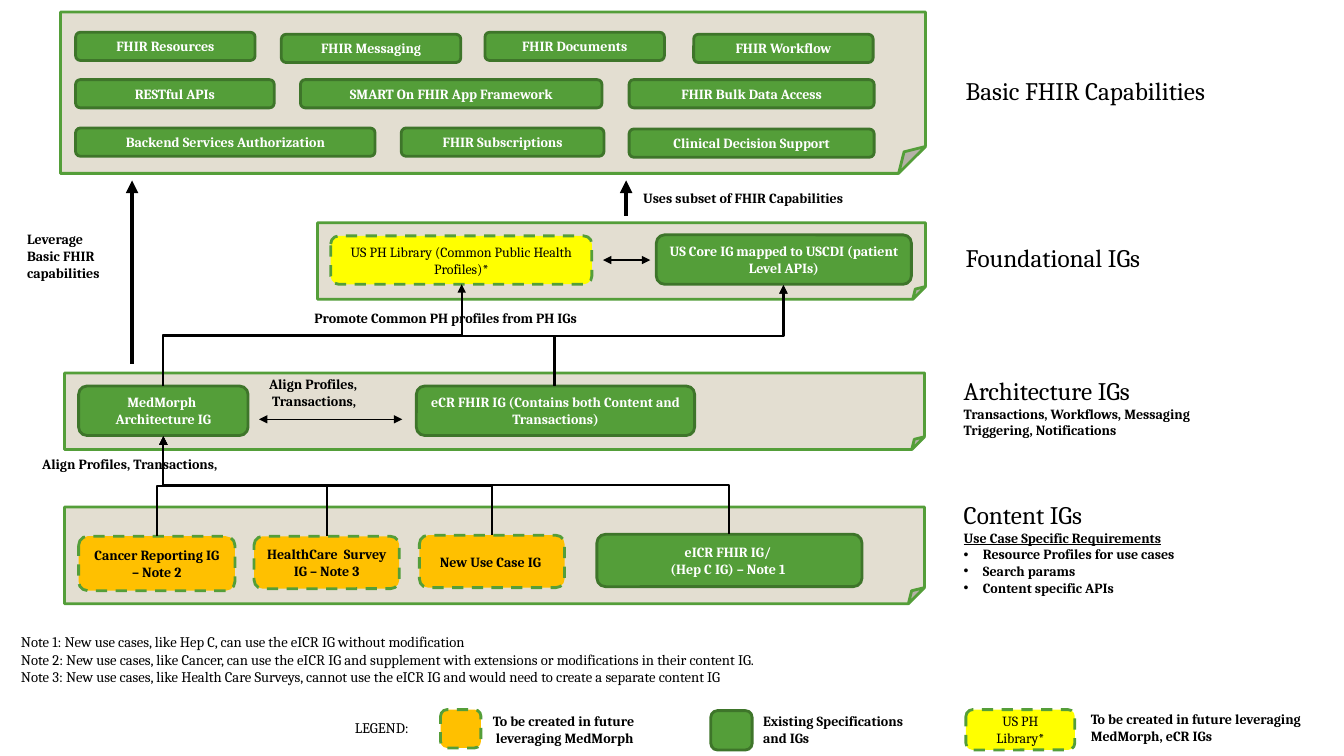
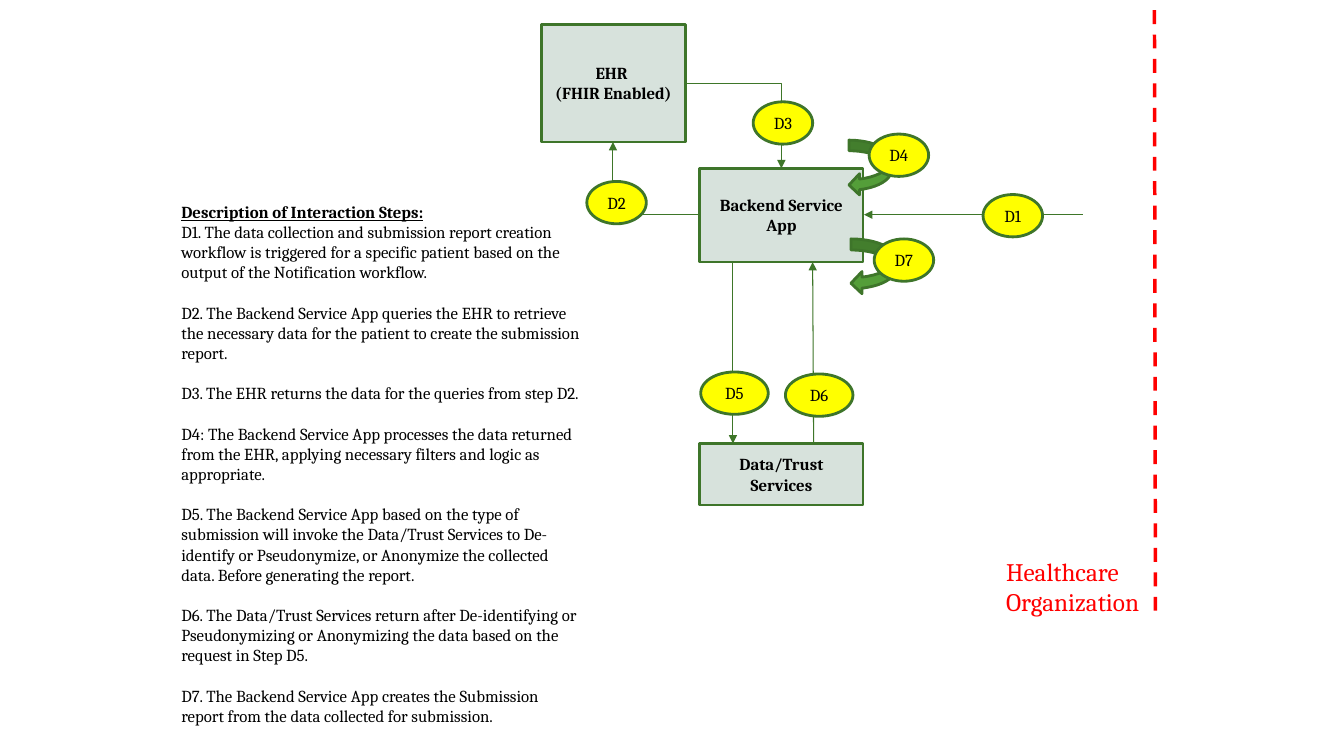
import pptx
import pptx.util
import pptx.dml.color
import pptx.enum.dml
import pptx.enum.shapes
import pptx.enum.text
import pptx.oxml
import pptx.oxml.ns
import lxml.etree

Inches = pptx.util.Inches
Pt = pptx.util.Pt
RGBColor = pptx.dml.color.RGBColor
SHAPE = pptx.enum.shapes.MSO_SHAPE
CONNECTOR = pptx.enum.shapes.MSO_CONNECTOR
DASH = pptx.enum.dml.MSO_LINE.DASH
ALIGN = pptx.enum.text.PP_ALIGN
ANCHOR = pptx.enum.text.MSO_ANCHOR
qn = pptx.oxml.ns.qn

FONT = "Cambria"
BLACK = RGBColor(0, 0, 0)
WHITE = RGBColor(0xFF, 0xFF, 0xFF)
RED = RGBColor(0xFF, 0, 0)
GREEN = RGBColor(0x54, 0x9E, 0x39)
DARK_GREEN = RGBColor(0x3E, 0x75, 0x2A)
FLOW_GREEN = RGBColor(0x3E, 0x76, 0x29)
BEIGE = RGBColor(0xE3, 0xDE, 0xD1)
PALE_GREEN = RGBColor(0xD7, 0xE2, 0xDC)
YELLOW = RGBColor(0xFF, 0xFF, 0)
ORANGE = RGBColor(0xFF, 0xC0, 0)


def place(slide, paragraphs, box, preset=None, fill=None, outline=DARK_GREEN, dash=None,
          size=10, color=BLACK, bold=True):
    bounds = [Inches(value) for value in box]
    if preset is None:
        shape = slide.shapes.add_textbox(*bounds)
    else:
        shape = slide.shapes.add_shape(preset, *bounds)
        shape.shadow.inherit = False
        shape.fill.solid()
        shape.fill.fore_color.rgb = fill
        shape.line.color.rgb = outline
        shape.line.width = Pt(2)
        shape.line.dash_style = dash
    frame = shape.text_frame
    frame.word_wrap = True
    frame.vertical_anchor = ANCHOR.MIDDLE if preset else ANCHOR.TOP
    for index, item in enumerate(paragraphs):
        text, changes = (item, {}) if isinstance(item, str) else item
        style = {"size": size, "bold": bold, "underline": False, "bullet": False, "before": 0, **changes}
        paragraph = frame.paragraphs[0] if index == 0 else frame.add_paragraph()
        paragraph.alignment = ALIGN.CENTER if preset else ALIGN.LEFT
        paragraph.space_before = Pt(style["before"])
        run = paragraph.add_run()
        run.text = text
        run.font.name = FONT
        run.font.size = Pt(style["size"])
        run.font.bold = style["bold"]
        run.font.underline = style["underline"]
        run.font.color.rgb = color
        if style["bullet"]:
            properties = paragraph._p.get_or_add_pPr()
            properties.set("marL", str(Inches(0.19)))
            properties.set("indent", str(-Inches(0.19)))
            lxml.etree.SubElement(properties, qn("a:buFont")).set("typeface", "Arial")
            lxml.etree.SubElement(properties, qn("a:buChar")).set("char", "•")


def link(slide, start, end, color=BLACK, width=1.0, route="straight", ends=("tailEnd",), dash=None):
    rotation = 0
    if route == "upright":
        middle_x, middle_y = (start[0] + end[0]) / 2, (start[1] + end[1]) / 2
        half_rise, half_run = (start[1] - end[1]) / 2, abs(end[0] - start[0]) / 2
        side = 1 if end[0] > start[0] else -1
        rotation = 90 if side > 0 else 270
        start = (middle_x + side * half_rise, middle_y + half_run)
        end = (middle_x - side * half_rise, middle_y - half_run)
    kind = CONNECTOR.STRAIGHT if route == "straight" else CONNECTOR.ELBOW
    connector = slide.shapes.add_connector(kind, *[Inches(value) for value in (*start, *end)])
    connector.line.color.rgb = color
    connector.line.width = Pt(width)
    connector.line.dash_style = dash
    properties = connector._element.spPr
    if rotation:
        properties.find(qn("a:xfrm")).set("rot", str(rotation * 60000))
    if route == "corner":
        properties.find(qn("a:prstGeom")).set("prst", "bentConnector2")
    for tip in ends:
        lxml.etree.SubElement(properties.find(qn("a:ln")), qn("a:" + tip)).set("type", "triangle")
    lxml.etree.SubElement(properties, qn("a:effectLst"))


EXISTING = {"preset": SHAPE.ROUNDED_RECTANGLE, "fill": GREEN, "color": WHITE}
FUTURE = {"preset": SHAPE.ROUNDED_RECTANGLE, "fill": ORANGE, "outline": GREEN, "dash": DASH}
LIBRARY = {**FUTURE, "fill": YELLOW, "bold": False}
BOTH_ENDS = ("headEnd", "tailEnd")

deck = pptx.Presentation()
deck.slide_width = Inches(13.33)
deck.slide_height = Inches(7.5)
blank = deck.slide_layouts[6]

layers = deck.slides.add_slide(blank)

for band in [(0.6, 0.12, 8.58, 1.6), (3.15, 2.21, 6.03, 0.76), (0.64, 3.7, 8.53, 0.76), (0.64, 5.03, 8.53, 0.96)]:
    place(layers, [], band, preset=SHAPE.FOLDED_CORNER, fill=BEIGE, outline=GREEN)

capabilities = [
    ("FHIR Resources", 0.75, 0.32, 1.78),
    ("FHIR Messaging", 2.79, 0.34, 1.78),
    ("FHIR Documents", 4.81, 0.32, 1.78),
    ("FHIR Workflow", 6.88, 0.34, 1.78),
    ("RESTful APIs", 0.75, 0.79, 1.97),
    ("SMART On FHIR App Framework", 2.98, 0.79, 2.99),
    ("FHIR Bulk Data Access", 6.24, 0.79, 2.43),
    ("Backend Services Authorization", 0.75, 1.27, 2.97),
    ("FHIR Subscriptions", 3.98, 1.27, 2.01),
    ("Clinical Decision Support", 6.24, 1.28, 2.43),
]
for capability, left, top, width in capabilities:
    place(layers, [capability], (left, top, width, 0.28), **EXISTING)

guides = [
    (["US PH Library (Common Public Health Profiles)*"], (3.28, 2.34, 2.59, 0.48), LIBRARY),
    (["US Core IG mapped to USCDI (patient Level APIs)"], (6.51, 2.33, 2.53, 0.49), EXISTING),
    (["MedMorph ", "Architecture IG"], (0.78, 3.83, 1.68, 0.49), EXISTING),
    (["eCR FHIR IG (Contains both Content and Transactions)"], (4.13, 3.83, 2.76, 0.49), EXISTING),
    (["Cancer Reporting IG – Note 2"], (0.78, 5.32, 1.55, 0.54), FUTURE),
    (["HealthCare  Survey IG – Note 3"], (2.52, 5.32, 1.44, 0.52), FUTURE),
    (["New Use Case IG "], (4.16, 5.31, 1.44, 0.52), FUTURE),
    (["eICR FHIR IG/ ", "(Hep C IG) – Note 1 "], (5.92, 5.3, 2.63, 0.52), EXISTING),
    ([], (4.37, 7.04, 0.4, 0.38), FUTURE),
    ([], (7.05, 7.05, 0.41, 0.39), EXISTING),
    (["US PH Library*"], (9.58, 7.04, 1.08, 0.4), LIBRARY),
]
for guide, box, status in guides:
    place(layers, guide, box, **status)

link(layers, (5.98, 2.58), (6.45, 2.58), ends=BOTH_ENDS)
link(layers, (2.57, 4.16), (3.99, 4.16), ends=BOTH_ENDS)
link(layers, (6.21, 2.14), (6.21, 1.79), width=3)
link(layers, (1.31, 3.61), (1.31, 1.79), width=3)

us_library, us_core, architecture = (4.58, 2.82), (7.77, 2.83), (1.62, 4.33)
dependencies = [
    ((1.62, 3.83), us_library),
    ((1.62, 3.83), us_core),
    ((5.5, 3.83), us_core),
    ((1.56, 5.32), architecture),
    ((3.24, 5.32), architecture),
    ((4.88, 5.31), architecture),
    ((7.23, 5.3), architecture),
]
for source, target in dependencies:
    link(layers, source, target, width=1.5, route="upright")

detail = {"size": 10, "bold": True}
bullet = {**detail, "bullet": True}
relations = [
    (["Uses subset of FHIR Capabilities"], (6.28, 1.83, 2.89, 0.3)),
    (["Align Profiles,", " Transactions,"], (2.57, 3.68, 1.52, 0.48)),
    (["Promote Common PH profiles from PH IGs"], (3.02, 3.02, 3.94, 0.3)),
    (["Leverage ", "Basic FHIR ", "capabilities"], (0.17, 2.24, 1.19, 0.67)),
    ([" Align Profiles, Transactions,"], (0.29, 4.47, 2.89, 0.3)),
    (["To be created in future", " leveraging MedMorph"], (4.79, 7.02, 2.11, 0.48)),
    (["Existing Specifications ", "and IGs"], (7.47, 7.02, 2.13, 0.48)),
    (["To be created in future leveraging ", "MedMorph, eCR IGs"], (10.72, 7, 2.45, 0.44)),
]
for relation, box in relations:
    place(layers, relation, box)

layer_names = [
    (["Basic FHIR Capabilities"], (9.48, 0.7, 3.37, 0.44)),
    (["Foundational IGs"], (9.48, 2.35, 2.56, 0.44)),
    (["Architecture IGs", ("Transactions, Workflows, Messaging", detail), ("Triggering, Notifications", detail)],
     (9.46, 3.67, 3.23, 0.82)),
    (["Content IGs", ("Use Case Specific Requirements", {**detail, "underline": True}),
      ("Resource Profiles for use cases", bullet), ("Search params", bullet), ("Content specific APIs", bullet)],
     (9.46, 4.9, 2.98, 1.19)),
]
for layer_name, box in layer_names:
    place(layers, layer_name, box, size=18, bold=False)

notes = [
    "Note 1: New use cases, like Hep C, can use the eICR IG without modification ",
    "Note 2: New use cases, like Cancer, can use the eICR IG and supplement with extensions or modifications "
    "in their content IG.",
    "Note 3: New use cases, like Health Care Surveys, cannot use the eICR IG and would need to create "
    "a separate content IG ",
]
place(layers, notes, (0.11, 6.23, 8.18, 0.63), size=10.5, bold=False)
place(layers, ["LEGEND:"], (3.42, 7.08, 0.85, 0.29), size=10.5, bold=False)

workflow = deck.slides.add_slide(blank)

flows = [
    ((6.8, 0.83), (7.75, 1.67), "corner"),
    ((6.94, 2.13), (6.08, 1.41), "corner"),
    ((10.74, 2.13), (8.57, 2.13), "straight"),
    ((7.27, 2.6), (7.27, 4.4), "straight"),
    ((8.07, 4.4), (8.06, 2.6), "straight"),
]
for source, target, route in flows:
    link(workflow, source, target, color=FLOW_GREEN, width=0.75, route=route)

link(workflow, (11.45, 0.1), (11.46, 6.16), color=RED, width=2.5, ends=(), dash=DASH)
place(workflow, ["Healthcare Organization"], (9.88, 5.47, 1.71, 0.71), size=18, color=RED, bold=False)

steps = [
    "D1. The data collection and submission report creation workflow is triggered for a specific patient based on "
    "the output of the Notification workflow.",
    "D2. The Backend Service App queries the EHR to retrieve the necessary data for the patient to create the "
    "submission report. ",
    "D3. The EHR returns the data for the queries from step D2.",
    "D4: The Backend Service App processes the data returned from the EHR, applying necessary filters and logic "
    "as appropriate.",
    "D5. The Backend Service App based on the type of submission will invoke the Data/Trust Services to De-identify "
    "or Pseudonymize, or Anonymize the collected data. Before generating the report.",
    "D6. The Data/Trust Services return after De-identifying or  Pseudonymizing or Anonymizing the data based on "
    "the request in Step D5.",
    "D7. The Backend Service App creates the Submission report from the data collected for submission.",
]
description = [("Description of Interaction Steps:", {"bold": True, "underline": True}), steps[0]]
description += [(step, {"before": 14.4}) for step in steps[1:]]
place(workflow, description, (1.7, 1.95, 4.19, 5.55), size=12, bold=False)

systems = [
    (["EHR ", "(FHIR Enabled)"], (5.37, 0.24, 1.43, 1.17)),
    (["Backend Service App"], (6.94, 1.67, 1.62, 0.93)),
    (["Data/Trust Services"], (6.94, 4.4, 1.62, 0.61)),
]
for system, box in systems:
    place(workflow, system, box, preset=SHAPE.RECTANGLE, fill=PALE_GREEN, size=12)

for loop in [(8.42, 1.39, 0.42, 0.55), (8.44, 2.37, 0.44, 0.55)]:
    place(workflow, [], loop, preset=SHAPE.CURVED_LEFT_ARROW, fill=GREEN)

markers = [
    ("D1", 9.75, 1.93, 0.59),
    ("D2", 5.82, 1.8, 0.59),
    ("D3", 7.47, 1.01, 0.59),
    ("D4", 8.62, 1.33, 0.59),
    ("D5", 6.95, 3.69, 0.67),
    ("D6", 7.79, 3.71, 0.67),
    ("D7", 8.67, 2.37, 0.59),
]
for marker, left, top, width in markers:
    place(workflow, [marker], (left, top, width, 0.42), preset=SHAPE.OVAL, fill=YELLOW, size=12, bold=False)

deck.save("out.pptx")
